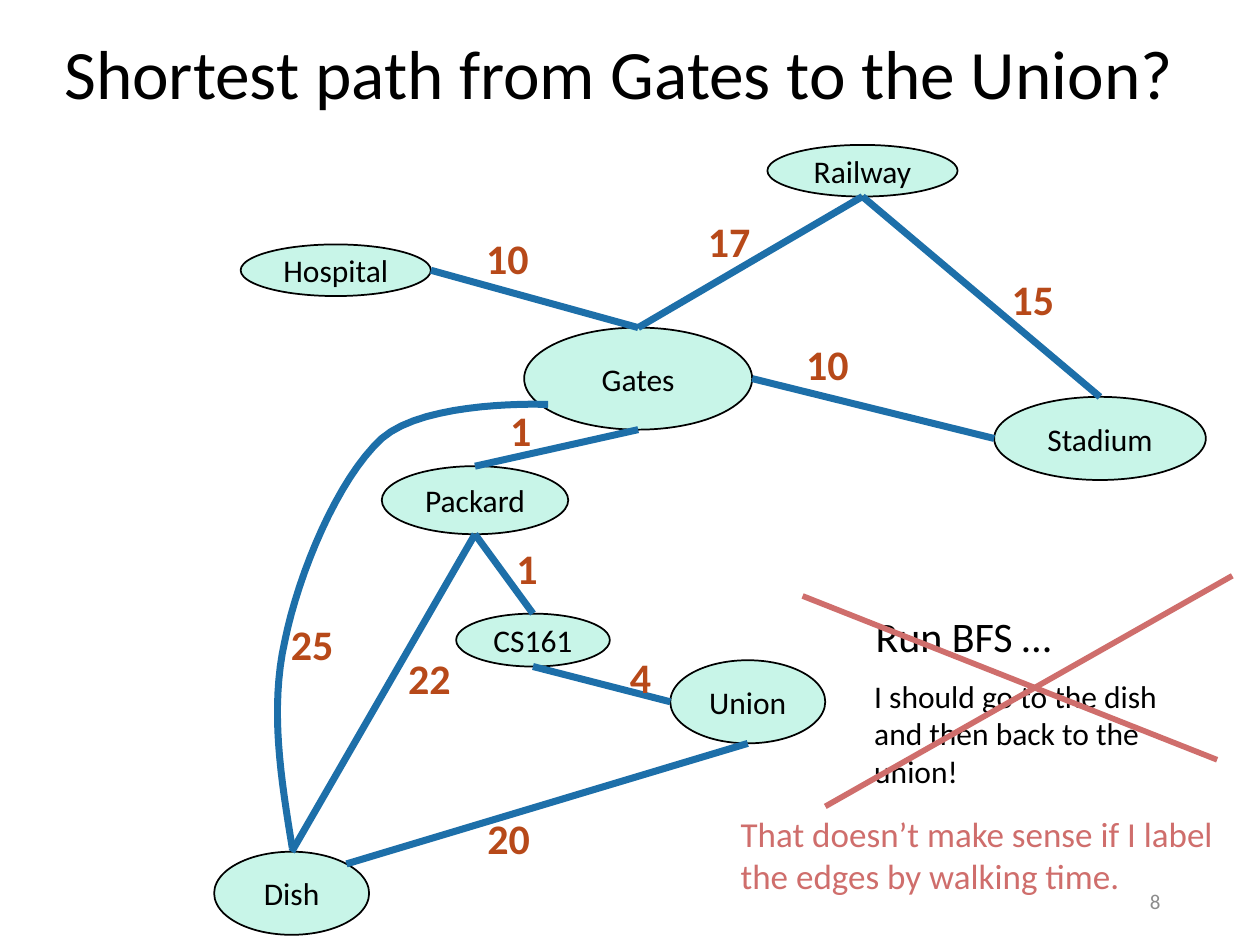
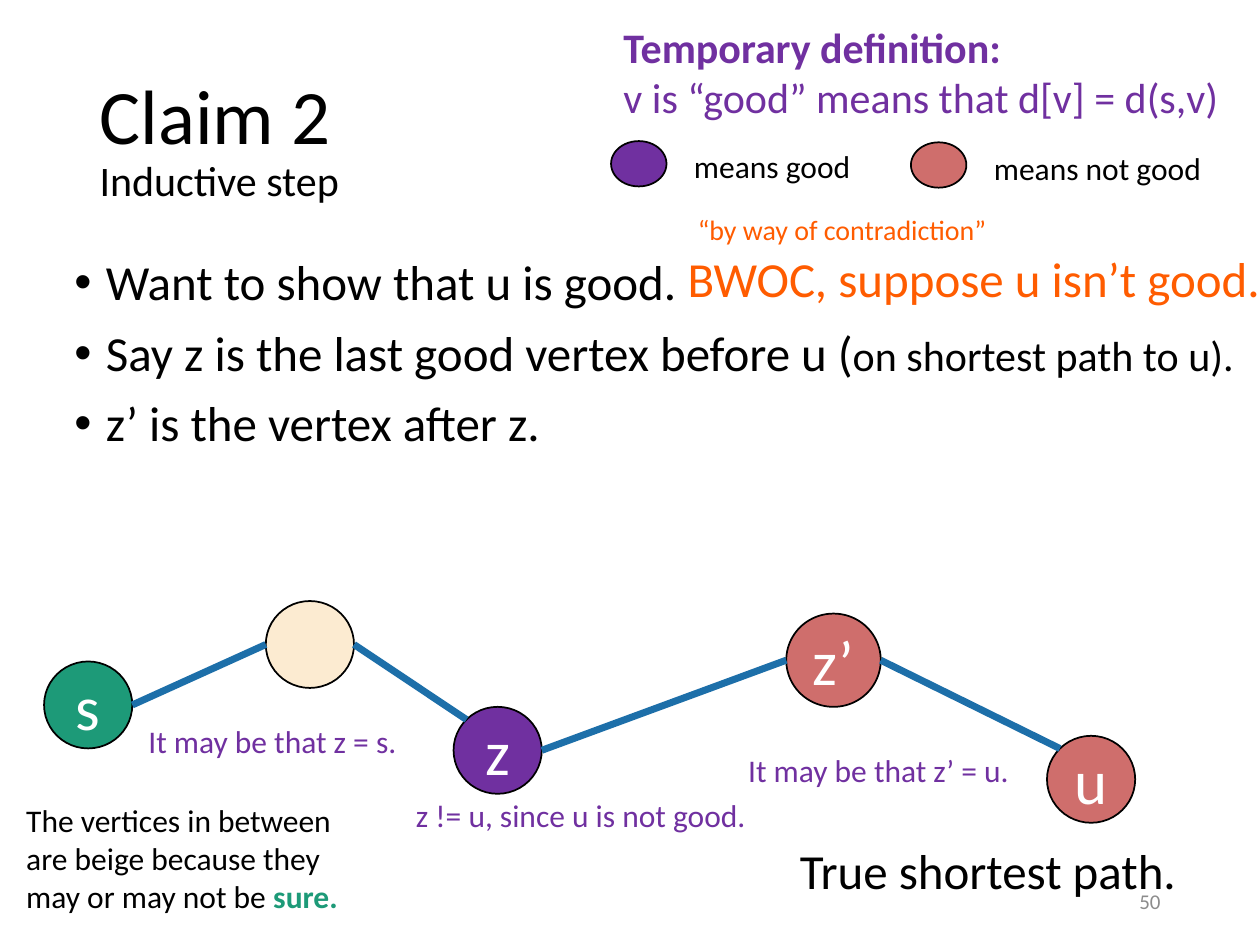
from dataclasses import dataclass, replace

from lxml import etree
from pptx import Presentation
from pptx.dml.color import RGBColor
from pptx.enum.shapes import MSO_CONNECTOR, MSO_SHAPE
from pptx.enum.text import MSO_ANCHOR, MSO_AUTO_SIZE, PP_ALIGN
from pptx.oxml.ns import qn
from pptx.util import Inches, Pt

STRAIGHT = MSO_CONNECTOR.STRAIGHT
OVAL = MSO_SHAPE.OVAL
TOP, MIDDLE = MSO_ANCHOR.TOP, MSO_ANCHOR.MIDDLE
LEFT, CENTER, RIGHT = PP_ALIGN.LEFT, PP_ALIGN.CENTER, PP_ALIGN.RIGHT
FIXED = MSO_AUTO_SIZE.NONE

COLUMNS, ROWS = 100, 75
TITLE_AND_BODY, TITLE_ONLY = 1, 5
DIAGONAL = 0.5 ** 0.5 / 2
SITES = {
    "top": (0.5, 0), "bottom": (0.5, 1), "left": (0, 0.5), "right": (1, 0.5),
    "top left": (0.5 - DIAGONAL, 0.5 - DIAGONAL),
    "top right": (0.5 + DIAGONAL, 0.5 - DIAGONAL),
}


@dataclass(frozen=True)
class TextStyle:
    size: float
    color: str
    bold: bool = False


@dataclass(frozen=True)
class Theme:
    font: str = "Calibri"
    black: str = "000000"
    white: str = "FFFFFF"
    mint: str = "C8F5E8"
    blue: str = "1D6FA9"
    rust: str = "B74919"
    red: str = "CF6E6C"
    purple: str = "7030A0"
    green: str = "1D9A78"
    beige: str = "FCEBD1"
    orange: str = "FF5C00"
    gray: str = "8C8C8C"
    outline: float = 1
    edge: float = 4
    cross: float = 3.25
    tight: float = 0.9
    bullet_gap: float = 10
    bullet_indent: float = 0.25

    def style(self, size, color=None, bold=False):
        return TextStyle(size, color or self.black, bold)


THEME = Theme()
LABEL = THEME.style(18)
HEADING = THEME.style(24)
STATEMENT = THEME.style(28)
WEIGHT = THEME.style(24, THEME.rust, True)
VERTEX = THEME.style(36, THEME.white)
REMARK = THEME.style(18, THEME.purple)
PAGE = THEME.style(12, THEME.gray)


class Deck:
    def __init__(self, theme):
        self.theme = theme
        self.presentation = Presentation()
        self.presentation.slide_width = Inches(10)
        self.presentation.slide_height = Inches(7.5)
        self.column = self.presentation.slide_width / COLUMNS
        self.row = self.presentation.slide_height / ROWS
        self.slide = None

    def new_slide(self, layout, page):
        layouts = self.presentation.slide_layouts
        self.slide = self.presentation.slides.add_slide(layouts[layout])
        self.text((70.6, 69.5, 22.5, 4), [page], PAGE, RIGHT, MIDDLE)

    def point(self, column, row):
        return round(column * self.column), round(row * self.row)

    def box(self, area):
        return *self.point(*area[:2]), *self.point(*area[2:])

    def apply_font(self, font, style):
        font.name = self.theme.font
        font.size = Pt(style.size)
        font.bold = style.bold
        font.color.rgb = RGBColor.from_string(style.color)

    def set_text(self, shape, paragraphs, style, align=LEFT, anchor=TOP,
                 spacing=None, bullets=False):
        frame = shape.text_frame
        frame.word_wrap = True
        frame.auto_size = FIXED
        frame.vertical_anchor = anchor
        for index, content in enumerate(paragraphs):
            paragraph = frame.add_paragraph() if index else frame.paragraphs[0]
            paragraph.alignment = align
            if spacing:
                paragraph.line_spacing = spacing
            if bullets:
                paragraph.space_before = Pt(self.theme.bullet_gap if index else 0)
                self.add_bullet(paragraph)
            self.apply_font(paragraph.font, style)
            runs = [(content, style)] if isinstance(content, str) else content
            for text, run_style in runs:
                if text == "\n":
                    paragraph.add_line_break()
                    continue
                run = paragraph.add_run()
                run.text = text
                if run_style != style:
                    self.apply_font(run.font, run_style)

    def add_bullet(self, paragraph):
        properties = paragraph._p.get_or_add_pPr()
        indent = Inches(self.theme.bullet_indent)
        properties.set("marL", str(indent))
        properties.set("indent", str(-indent))
        etree.SubElement(properties, qn("a:buChar")).set("char", "•")

    def place(self, shape, area):
        shape.left, shape.top, shape.width, shape.height = self.box(area)

    def title(self, area, content, style):
        shape = self.slide.shapes.title
        self.place(shape, area)
        self.set_text(shape, [content], style, anchor=MIDDLE, spacing=self.theme.tight)

    def body(self, area, paragraphs, style):
        shape = self.slide.placeholders[1]
        self.place(shape, area)
        self.set_text(shape, paragraphs, style, spacing=self.theme.tight, bullets=True)

    def text(self, area, paragraphs, style, align=LEFT, anchor=TOP):
        shape = self.slide.shapes.add_textbox(*self.box(area))
        self.set_text(shape, paragraphs, style, align, anchor)

    def ellipse(self, area, fill, label="", style=LABEL):
        shape = self.slide.shapes.add_shape(OVAL, *self.box(area))
        shape.shadow.inherit = False
        shape.fill.solid()
        shape.fill.fore_color.rgb = RGBColor.from_string(fill)
        self.stroke(shape, self.theme.black, self.theme.outline)
        if label:
            self.set_text(shape, [label], style, CENTER, MIDDLE)
            shape.text_frame.margin_left = shape.text_frame.margin_right = 0
        return shape

    def stroke(self, shape, color, width):
        shape.line.color.rgb = RGBColor.from_string(color)
        shape.line.width = Pt(width)

    def line(self, start, end, color, width):
        connector = self.slide.shapes.add_connector(STRAIGHT, *start, *end)
        self.stroke(connector, color, width)
        etree.SubElement(connector._element.spPr, qn("a:effectLst"))

    def site(self, shape, name):
        across, down = SITES[name]
        return (round(shape.left + across * shape.width),
                round(shape.top + down * shape.height))

    def edge(self, start, start_site, end, end_site):
        self.line(self.site(start, start_site), self.site(end, end_site),
                  self.theme.blue, self.theme.edge)

    def curve(self, start, bends, steps=16):
        points = [start]
        for first, second, end in bends:
            corners = (points[-1], first, second, end)
            for step in range(1, steps + 1):
                t = step / steps
                shares = ((1 - t) ** 3, 3 * t * (1 - t) ** 2,
                          3 * t ** 2 * (1 - t), t ** 3)
                points.append(tuple(sum(share * corner[axis]
                              for share, corner in zip(shares, corners))
                              for axis in (0, 1)))
        builder = self.slide.shapes.build_freeform(*self.point(*start))
        builder.add_line_segments([self.point(*p) for p in points[1:]], close=False)
        shape = builder.convert_to_shape()
        shape.shadow.inherit = False
        shape.fill.background()
        self.stroke(shape, self.theme.blue, self.theme.edge)


def build_walking_map(deck):
    deck.new_slide(TITLE_ONLY, "8")
    deck.title((4.1, 1.5, 93.8, 9.2), "Shortest path from Gates to the Union?",
               THEME.style(39.6))
    places = {
        "CS161": (36.2, 48.7, 12.2, 4.2),
        "Gates": (41.6, 26, 18.1, 8.1),
        "Union": (53.2, 52.4, 12.3, 6.6),
        "Dish": (17, 67.6, 12.3, 6.6),
        "Stadium": (78.9, 31.5, 16.8, 6.6),
        "Hospital": (19.1, 19.4, 15.1, 4.1),
        "Railway": (60.9, 11.5, 15.1, 4.1),
        "Packard": (30.3, 37, 14.8, 5.4),
    }
    nodes = {name: deck.ellipse(area, THEME.mint, name)
             for name, area in places.items()}
    for start, start_site, end, end_site in (
            ("CS161", "bottom", "Union", "left"),
            ("Gates", "top", "Hospital", "right"),
            ("Stadium", "top", "Railway", "bottom"),
            ("Union", "bottom", "Dish", "top right"),
            ("Gates", "bottom", "Packard", "top"),
            ("CS161", "top", "Packard", "bottom"),
            ("Gates", "right", "Stadium", "left"),
            ("Railway", "bottom", "Gates", "top"),
            ("Packard", "bottom", "Dish", "top")):
        deck.edge(nodes[start], start_site, nodes[end], end_site)
    deck.curve((23.2, 67.3), (
        ((22.3, 61.8), (21.4, 56.3), (22.6, 50.9)),
        ((23.7, 45.5), (26.8, 38), (30.3, 34.8)),
        ((33.8, 31.7), (43.5, 32.1), (43.5, 32.1))))
    for minutes, column, row in (
            ("1", 39.5, 31.6), ("1", 40, 42.6), ("4", 49, 51.2),
            ("25", 22.1, 48.6), ("20", 37.7, 64), ("10", 63, 26.4),
            ("10", 37.6, 18), ("17", 55.2, 16.6), ("15", 79.3, 21.2),
            ("22", 31.4, 51.3)):
        deck.text((column, row, 3.1 + 1.6 * len(minutes), 5), [minutes], WEIGHT)
    deck.text((68.5, 48, 27.8, 5), ["Run BFS …"], HEADING)
    deck.text((68.4, 53.2, 26.3, 10.1),
              ["I should go to the dish and then back to the union!"], LABEL)
    for start, end in (((65.5, 64), (97.8, 45.7)), ((63.7, 47.3), (96.6, 60.3))):
        deck.line(deck.point(*start), deck.point(*end), THEME.red, THEME.cross)
    deck.text((57.8, 64, 40, 7.7),
              ["That doesn’t make sense if I label the edges by walking time."],
              THEME.style(20, THEME.red))


def build_inductive_step(deck):
    deck.new_slide(TITLE_AND_BODY, "50")
    title_style = THEME.style(44)
    deck.title((6.9, 4, 86.2, 14.5),
               [("Claim 2", title_style), ("\n", title_style),
                ("Inductive step", HEADING)], title_style)
    deck.body((4.9, 20, 95.1, 47.6), [
        "Want to show that u is good.",
        [("Say z is the last good vertex before u (", STATEMENT),
         ("on shortest path to u).", HEADING)],
        "z’ is the vertex after z."], STATEMENT)

    definition = THEME.style(24, THEME.purple)
    deck.text((48.5, 1.2, 51, 9.1),
              [[("Temporary definition:", replace(definition, bold=True))],
               "v is “good” means that d[v] = d(s,v)"], definition)
    for column, row, fill, meaning in (
            (48.5, 11.2, THEME.purple, "means good"),
            (72.3, 11.3, THEME.red, "means not good")):
        deck.ellipse((column, row, 4.4, 3.6), fill)
        deck.text((column + 5.6, row, 19.3, 4), [meaning], LABEL)

    size = (7, 6.9)
    start = deck.ellipse((3.5, 52.5, *size), THEME.green, "s", VERTEX)
    between = deck.ellipse((21.1, 47.7, *size), THEME.beige)
    last_good = deck.ellipse((36, 56.1, *size), THEME.purple, "z", VERTEX)
    after = deck.ellipse((62.4, 48.7, 7.5, 7.4), THEME.red, "z’", VERTEX)
    target = deck.ellipse((83.1, 58.4, *size), THEME.red, "u", VERTEX)
    deck.edge(between, "left", start, "right")
    deck.edge(last_good, "top left", between, "right")
    deck.edge(last_good, "right", after, "left")
    deck.edge(target, "top left", after, "right")

    deck.text((62.5, 66.2, 37, 5.7), ["True shortest path."], STATEMENT)
    deck.text((1.1, 63.1, 26.9, 10.1),
              [[("The vertices in between are beige because they "
                 "may or may not be ", LABEL),
                ("sure.", THEME.style(18, THEME.green, True))]], LABEL)
    deck.text((29.5, 62.7, 33.2, 4), ["z != u, since u is not good."], REMARK, CENTER)
    deck.text((58.4, 59.1, 37.3, 4), ["It may be that z’ = u."], REMARK)
    deck.text((10.8, 56.8, 37.3, 4), ["It may be that z = s."], REMARK)
    deck.text((54.4, 16.4, 29, 3.7), ["“by way of contradiction”"],
              THEME.style(16, THEME.orange))
    deck.text((53.6, 19.2, 48, 5.7), ["BWOC, suppose u isn’t good."],
              THEME.style(28, THEME.orange))


def main():
    deck = Deck(THEME)
    build_walking_map(deck)
    build_inductive_step(deck)
    deck.presentation.save("out.pptx")


if __name__ == "__main__":
    main()
